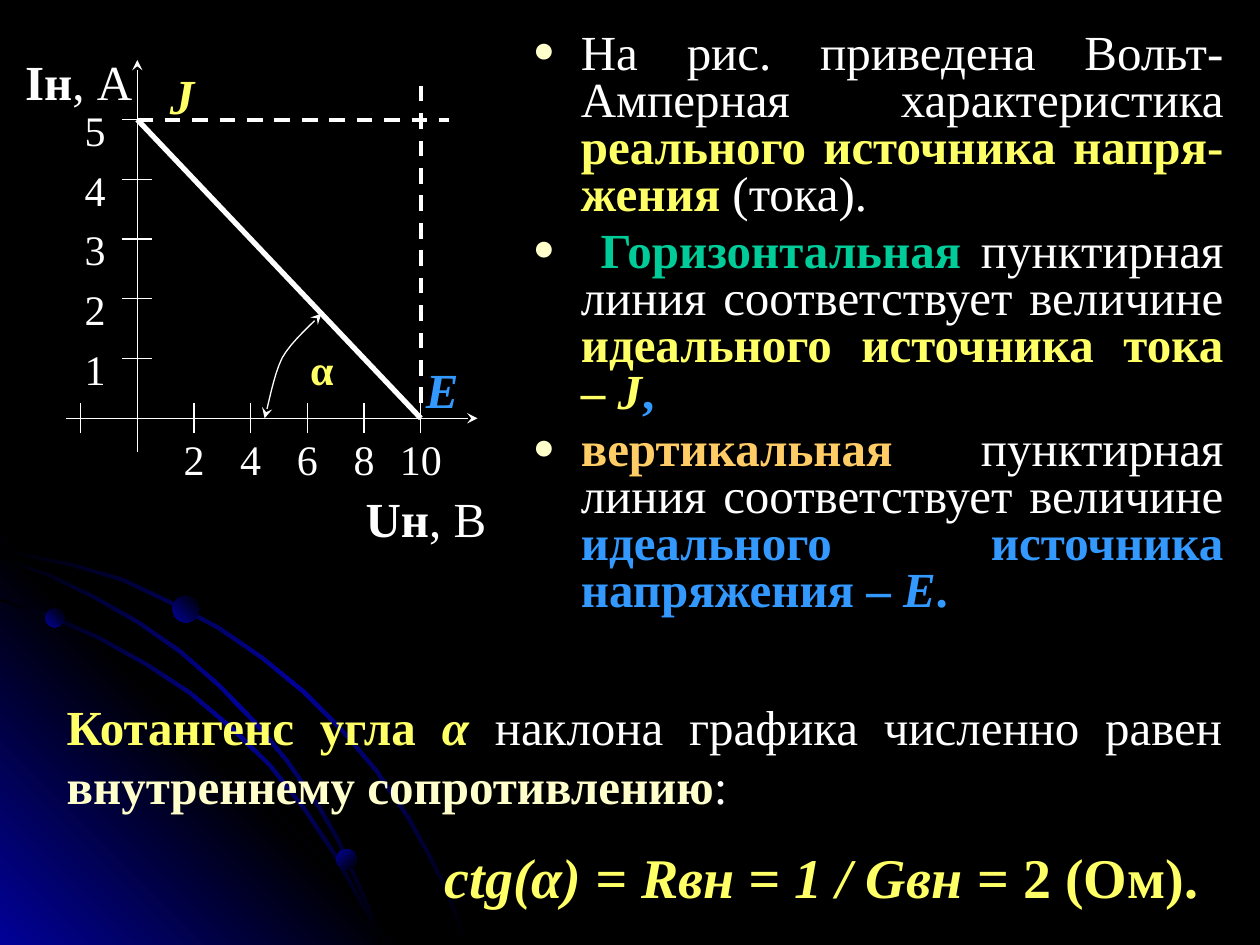
"""Build a slide on the volt-ampere characteristic of a real source."""
from dataclasses import dataclass
from typing import Optional, Sequence

from lxml import etree
from pptx import Presentation
from pptx.dml.color import RGBColor
from pptx.enum.dml import MSO_LINE
from pptx.enum.shapes import MSO_CONNECTOR, MSO_SHAPE
from pptx.enum.text import MSO_AUTO_SIZE, PP_ALIGN
from pptx.oxml import parse_xml
from pptx.oxml.ns import nsdecls, qn
from pptx.util import Inches, Pt

STRAIGHT, OVAL, DASH = MSO_CONNECTOR.STRAIGHT, MSO_SHAPE.OVAL, MSO_LINE.DASH
LEFT, CENTER, JUSTIFY = PP_ALIGN.LEFT, PP_ALIGN.CENTER, PP_ALIGN.JUSTIFY
GROW = MSO_AUTO_SIZE.SHAPE_TO_FIT_TEXT
FIXED = MSO_AUTO_SIZE.NONE


@dataclass(frozen=True)
class Theme:
    """Colours, font and type sizes."""
    black: str = "000000"
    navy: str = "010199"
    white: str = "FFFFFF"
    cream: str = "FFFFCC"
    yellow: str = "FFFF66"
    green: str = "00CC99"
    orange: str = "FFCC66"
    blue: str = "3399FF"
    font: str = "Times New Roman"
    tick: int = 24
    text: int = 28
    formula: int = 32
    thin: float = 0.75
    dashed: float = 2.25
    thick: float = 3


THEME = Theme()
WIDTH, HEIGHT = 10, 7.5
ORIGIN_X, ORIGIN_Y = 1.09, 3.32
COLUMN, ROW = 0.45, 2.37 / 5
TICK = 0.12
Point = tuple[float, float]


@dataclass(frozen=True)
class Span:
    """A stretch of equally formatted text."""
    text: str
    color: str = THEME.white
    bold: bool = False
    italic: bool = False
    size: int = THEME.text


@dataclass(frozen=True)
class Label:
    """A text placed at a left, top, width and height in inches."""
    spans: Sequence[Span]
    left: float
    top: float
    width: float = COLUMN
    height: float = 0.36
    inset: float = 0
    align: PP_ALIGN = CENTER


@dataclass(frozen=True)
class Line:
    """A line between two points given in graph columns and rows."""
    start: Point
    end: Point
    weight: float = THEME.thin
    dashed: bool = False
    arrow: bool = False


@dataclass(frozen=True)
class Dot:
    """A shaded ball with its gradient angle."""
    left: float
    top: float
    size: float
    angle: int


ARCS: list[list[Point]] = [
    [(0, 4.35), (0.28, 4.41), (0.57, 4.47), (0.98, 4.59), (1.36, 4.77), (1.74, 4.97), (2.09, 5.21),
     (2.42, 5.48), (2.72, 5.78), (3, 6.11), (3.25, 6.48), (3.39, 6.73), (3.52, 6.98),
     (3.62, 7.23), (3.72, 7.49)],
    [(0, 4.75), (0.41, 4.88), (0.79, 5.05), (1.17, 5.26), (1.52, 5.49), (1.84, 5.76),
     (2.15, 6.06), (2.42, 6.4), (2.66, 6.76), (2.86, 7.12), (2.96, 7.3), (3.03, 7.49)],
    [(0, 4.42), (0.39, 4.55), (0.76, 4.73), (1.11, 4.93), (1.44, 5.16), (1.75, 5.43),
     (2.04, 5.73), (2.29, 6.03), (2.54, 6.39), (2.69, 6.65), (2.82, 6.93), (2.94, 7.2),
     (3.03, 7.49)],
]
DOTS = [Dot(0.36, 4.83, 0.15, 315), Dot(2.67, 6.74, 0.16, 45), Dot(1.37, 4.73, 0.21, 315)]
ANGLE_CURVE: list[list[Point]] = [
    [(2.55, 2.49), (2.5, 2.55), (2.31, 2.71), (2.24, 2.84)],
    [(2.24, 2.84), (2.17, 2.98), (2.13, 3.22), (2.1, 3.32)],
]
BULLETS = [
    [Span("На рис. приведена Вольт-Амперная характеристика "),
     Span("реального источника напря-жения", THEME.yellow, True), Span(" (тока).")],
    [Span(" "), Span("Горизонтальная", THEME.green, True),
     Span(" пунктирная линия соответствует величине "),
     Span("идеального источника тока – ", THEME.yellow, True),
     Span("J", THEME.yellow, True, True), Span(",", THEME.blue, True)],
    [Span("вертикальная", THEME.orange, True),
     Span(" пунктирная линия соответствует величине "),
     Span("идеального источника напряжения – ", THEME.blue, True),
     Span("Е", THEME.blue, True, True), Span(".", THEME.blue, True)],
]
CONCLUSION = [
    Span("Котангенс угла ", THEME.yellow, True), Span("α", THEME.yellow, True, True),
    Span(" наклона графика численно равен "),
    Span("внутреннему сопротивлению", THEME.cream, True), Span(":")]
FORMULA = [
    Span("ctg(α) = Rвн = 1 / Gвн", THEME.yellow, True, True, THEME.formula),
    Span(" = 2 (Ом).", THEME.yellow, True, False, THEME.formula)]


def write(para, spans: Sequence[Span], align: PP_ALIGN, before: float = 0) -> None:
    """Fill a paragraph with formatted spans."""
    para.alignment, para.space_before = align, Pt(before)
    for span in spans:
        run = para.add_run()
        run.text = span.text
        font = run.font
        font.name, font.size = THEME.font, Pt(span.size)
        font.bold, font.italic = span.bold, span.italic
        font.color.rgb = RGBColor.from_string(span.color)


def shade(shape, colors: Sequence[str], angle: int) -> None:
    """Give a shape an evenly stepped gradient and no line."""
    stops = "".join(
        f'<a:gs pos="{100000 * index // (len(colors) - 1)}"><a:srgbClr val="{color}"/></a:gs>'
        for index, color in enumerate(colors))
    shape.shadow.inherit = False
    shape.line.fill.background()
    shape.fill.background()
    properties = shape._element.spPr
    properties.replace(properties.find(qn("a:noFill")), parse_xml(
        f'<a:gradFill {nsdecls("a")} rotWithShape="1"><a:gsLst>{stops}</a:gsLst>'
        f'<a:lin ang="{angle * 60000}" scaled="0"/></a:gradFill>'))


def add_outline(page, points: Sequence[Point], closed: bool = True):
    """Draw a freeform through points in inches."""
    start, *others = [(Inches(x), Inches(y)) for x, y in points]
    builder = page.shapes.build_freeform(*start)
    builder.add_line_segments(others, close=closed)
    return builder.convert_to_shape()


def add_backdrop(page) -> None:
    """Draw the corner glow, the arcs and the balls."""
    arcs = [[*edge, *((max(x - 0.02, 0), min(y + 0.02, HEIGHT)) for x, y in reversed(edge))]
            for edge in ARCS]
    glow = [(3.22, HEIGHT), (0, HEIGHT), (0, 4.27)]
    for points in (arcs[0], glow, *arcs[1:]):
        inner, outer, angle = ((THEME.black, THEME.navy, 315) if points is glow
                               else (THEME.navy, THEME.black, 45))
        shade(add_outline(page, points), (outer, inner, outer), angle)
    for dot in DOTS:
        ball = page.shapes.add_shape(
            OVAL, Inches(dot.left), Inches(dot.top), Inches(dot.size), Inches(dot.size))
        shade(ball, (THEME.navy, THEME.black), dot.angle)


def style_line(shape, weight: float, arrows: Sequence[str] = ()) -> None:
    """Set a white stroke with optional arrowheads."""
    shape.line.color.rgb = RGBColor.from_string(THEME.white)
    shape.line.width = Pt(weight)
    for end in arrows:
        etree.SubElement(shape.line._get_or_add_ln(), qn(f"a:{end}"), type="stealth")


def add_line(page, line: Line) -> None:
    """Draw a line on the graph grid."""
    ends = [Inches(value) for column, row in (line.start, line.end)
            for value in (ORIGIN_X + column * COLUMN, ORIGIN_Y - row * ROW)]
    connector = page.shapes.add_connector(STRAIGHT, *ends)
    style_line(connector, line.weight, ("tailEnd",) if line.arrow else ())
    if line.dashed:
        connector.line.dash_style = DASH
    etree.SubElement(connector._element.spPr, qn("a:effectLst"))


def add_label(page, label: Label):
    """Place a wrapped text box."""
    box = page.shapes.add_textbox(*map(Inches, (label.left, label.top, label.width, label.height)))
    frame = box.text_frame
    frame.word_wrap = True
    frame.margin_left = frame.margin_right = 0
    frame.margin_top = frame.margin_bottom = Inches(label.inset)
    write(frame.paragraphs[0], label.spans, label.align)
    return box


def bezier(points: Sequence[Point], share: float) -> Point:
    """Return the point at a share of a cubic curve."""
    rest = 1 - share
    weights = (rest ** 3, 3 * rest ** 2 * share, 3 * rest * share ** 2, share ** 3)
    return (sum(w * x for w, (x, _) in zip(weights, points)),
            sum(w * y for w, (_, y) in zip(weights, points)))


def add_graph(page) -> None:
    """Draw the axes, ticks, characteristic and labels."""
    across, up = TICK / COLUMN, TICK / ROW
    lines = [Line((0, -0.57), (0, 6), arrow=True), Line((-1.25, 0), (6, 0), arrow=True)]
    lines += [Line((-across, row), (across, row)) for row in range(6)]
    lines += [Line((column, -up), (column, up)) for column in (-1, 1, 2, 3, 4, 5)]
    lines += [Line((5, 0), (0, 5), THEME.thick), Line((0, 5), (5.5, 5), THEME.dashed, True),
              Line((5, up), (5, 5.74), THEME.dashed, True)]
    for line in lines:
        add_line(page, line)
    labels = [
        Label([Span("Iн", bold=True), Span(", А")], 0.2, 0.36, 0.87, 0.47, 0.05, LEFT),
        Label([Span("Uн", bold=True), Span(", В")], 2.87, 3.83, 1.02, 0.47, 0.05),
        Label([Span("J", THEME.yellow, True, True)], 1.22, 0.52),
        Label([Span("E", THEME.blue, True, True)], 3.23, 2.85, 0.56),
        Label([Span("α", THEME.yellow, True, size=THEME.tick)], 2.33, 2.73)]
    for step in range(1, 6):
        labels += [
            Label([Span(str(step), size=THEME.tick)], 0.53, ORIGIN_Y - step * ROW - TICK),
            Label([Span(str(2 * step), size=THEME.tick)],
                  ORIGIN_X + (step - 0.5) * COLUMN, ORIGIN_Y + TICK)]
    for label in labels:
        add_label(page, label)
    curve = [bezier(part, step / 8) for part in ANGLE_CURVE for step in range(9)]
    arc = add_outline(page, curve, closed=False)
    arc.fill.background()
    arc.shadow.inherit = False
    style_line(arc, THEME.thin, ("headEnd", "tailEnd"))


def set_indent(para, left: float, first: float = 0, bullet: Optional[str] = None) -> None:
    """Indent a paragraph and give it an optional bullet."""
    properties = para._p.get_or_add_pPr()
    properties.set("marL", str(Inches(left)))
    properties.set("indent", str(Inches(first)))
    if bullet:
        color = etree.SubElement(properties, qn("a:buClr"))
        etree.SubElement(color, qn("a:srgbClr"), val=THEME.cream)
        etree.SubElement(properties, qn("a:buSzPct"), val="75000")
        etree.SubElement(properties, qn("a:buFont"), typeface=THEME.font)
        etree.SubElement(properties, qn("a:buChar"), char=bullet)


def add_body(page) -> None:
    """Fill the body placeholder with the bulleted list."""
    body = page.placeholders[1]
    body.left, body.top, body.width, body.height = map(Inches, (4.13, 0.21, 5.68, 4.95))
    frame = body.text_frame
    frame.auto_size = FIXED
    for index, spans in enumerate(BULLETS):
        para = frame.add_paragraph() if index else frame.paragraphs[0]
        write(para, spans, JUSTIFY, THEME.text * 0.2)
        para.line_spacing = 0.8
        set_indent(para, 0.38, -0.38, "●")


def add_conclusion(page) -> None:
    """Write the conclusion and its formula."""
    box = add_label(page, Label(CONCLUSION, 0.53, 5.48, 9.17, 1.84, 0.05, JUSTIFY))
    frame = box.text_frame
    frame.auto_size = GROW
    frame.paragraphs[0].space_before = Pt(THEME.text / 2)
    formula = frame.add_paragraph()
    write(formula, FORMULA, LEFT, THEME.formula / 2)
    set_indent(formula, 3)


def main() -> None:
    """Build and save the deck."""
    deck = Presentation()
    deck.slide_width, deck.slide_height = Inches(WIDTH), Inches(HEIGHT)
    page = deck.slides.add_slide(deck.slide_layouts[1])
    title = page.shapes.title._element
    title.getparent().remove(title)
    page.background.fill.solid()
    page.background.fill.fore_color.rgb = RGBColor.from_string(THEME.black)
    add_backdrop(page)
    add_body(page)
    add_graph(page)
    add_conclusion(page)
    deck.save("out.pptx")


main()
